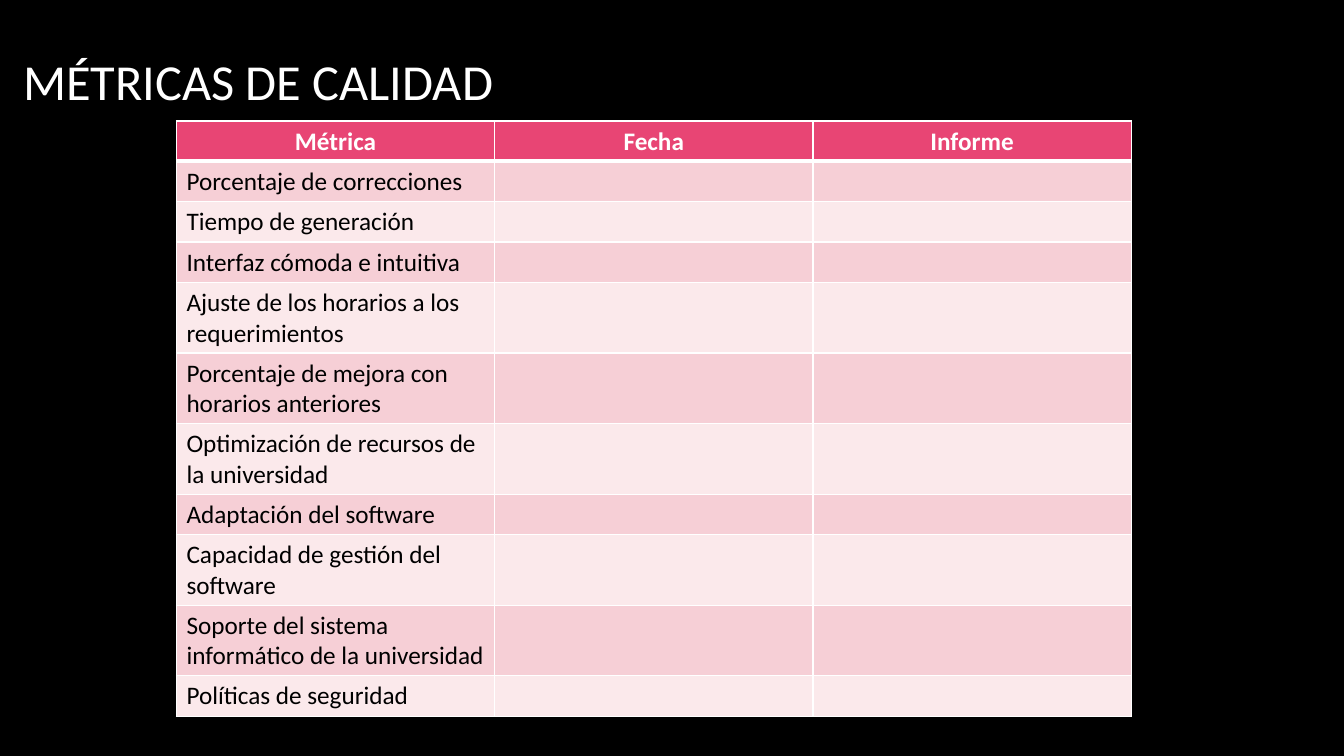
import pptx
import pptx.util
import pptx.dml.color
import pptx.enum.text
import pptx.oxml
import pptx.oxml.ns
import lxml.etree

Inches = pptx.util.Inches

TITLE = "MÉTRICAS DE CALIDAD"
HEADERS = ["Métrica", "Fecha", "Informe"]
# Each metric with the number of lines it takes
METRICS = [
    ("Porcentaje de correcciones", 1),
    ("Tiempo de generación", 1),
    ("Interfaz cómoda e intuitiva", 1),
    ("Ajuste de los horarios a los\nrequerimientos", 2),
    ("Porcentaje de mejora con horarios anteriores", 2),
    ("Optimización de recursos de la universidad", 2),
    ("Adaptación del software", 1),
    ("Capacidad de gestión del software", 2),
    ("Soporte del sistema informático de la universidad", 2),
    ("Políticas de seguridad", 1),
]
COLORS = {
    "background": "000000",
    "white": "FFFFFF",
    "black": "000000",
    "header": "E84574",
    "odd": "F6CFD6",
    "even": "FBE9EB",
}
TITLE_BOX = (0.13, 0, 11.08, 1.59)
TABLE_LEFT, TABLE_TOP, TABLE_WIDTH = 1.75, 1.2, 9.47
ROW_HEIGHTS = {1: 0.4, 2: 0.7}
TITLE_FONT = {"size": pptx.util.Pt(36), "name": "Calibri", "bold": False}
HEADER_FONT = {"size": pptx.util.Pt(18), "name": "Calibri", "bold": True}
BODY_FONT = {"size": pptx.util.Pt(18), "name": "Calibri", "bold": False}


def color(name):
    return pptx.dml.color.RGBColor.from_string(COLORS[name])


def write(text_frame, text, font_format, color_name, alignment):
    text_frame.text = text
    for paragraph in text_frame.paragraphs:
        paragraph.alignment = alignment
        for attribute, value in font_format.items():
            setattr(paragraph.font, attribute, value)
        for run in paragraph.runs:
            for attribute, value in font_format.items():
                setattr(run.font, attribute, value)
            run.font.color.rgb = color(color_name)


def set_borders(cell, widths):
    """Draw white cell borders; widths maps L, R, T and B to points."""
    properties = cell._tc.get_or_add_tcPr()
    for position, (side, width) in enumerate(widths.items()):
        line = lxml.etree.Element(
            pptx.oxml.ns.qn(f"a:ln{side}"), w=str(pptx.util.Pt(width))
        )
        fill = lxml.etree.SubElement(line, pptx.oxml.ns.qn("a:solidFill"))
        lxml.etree.SubElement(fill, pptx.oxml.ns.qn("a:srgbClr"), val=COLORS["white"])
        properties.insert(position, line)


def add_title(slide):
    box = slide.shapes.add_textbox(*map(Inches, TITLE_BOX))
    box.text_frame.word_wrap = True
    box.text_frame.vertical_anchor = pptx.enum.text.MSO_ANCHOR.MIDDLE
    write(box.text_frame, TITLE, TITLE_FONT, "white", pptx.enum.text.PP_ALIGN.LEFT)


def add_metrics_table(slide):
    rows = [(HEADERS, 1)] + [([name, "", ""], lines) for name, lines in METRICS]
    heights = [ROW_HEIGHTS[lines] for _, lines in rows]
    table = slide.shapes.add_table(
        len(rows), len(HEADERS), Inches(TABLE_LEFT), Inches(TABLE_TOP),
        Inches(TABLE_WIDTH), Inches(sum(heights)),
    ).table
    for row_index, (texts, _) in enumerate(rows):
        table.rows[row_index].height = Inches(heights[row_index])
        is_header = row_index == 0
        if is_header:
            fill_name, text_color, font_format = "header", "white", HEADER_FONT
            alignment = pptx.enum.text.PP_ALIGN.CENTER
        else:
            fill_name = "odd" if row_index % 2 else "even"
            text_color, font_format = "black", BODY_FONT
            alignment = pptx.enum.text.PP_ALIGN.LEFT
        widths = {
            "L": 1, "R": 1,
            "T": 3 if row_index == 1 else 1,
            "B": 3 if is_header else 1,
        }
        for column_index, text in enumerate(texts):
            cell = table.cell(row_index, column_index)
            cell.fill.solid()
            cell.fill.fore_color.rgb = color(fill_name)
            write(cell.text_frame, text, font_format, text_color, alignment)
            set_borders(cell, widths)


def main():
    presentation = pptx.Presentation()
    presentation.slide_width = Inches(13.33)
    presentation.slide_height = Inches(7.5)
    slide = presentation.slides.add_slide(presentation.slide_layouts[6])
    slide.background.fill.solid()
    slide.background.fill.fore_color.rgb = color("background")
    add_title(slide)
    add_metrics_table(slide)
    presentation.save("out.pptx")


if __name__ == "__main__":
    main()
